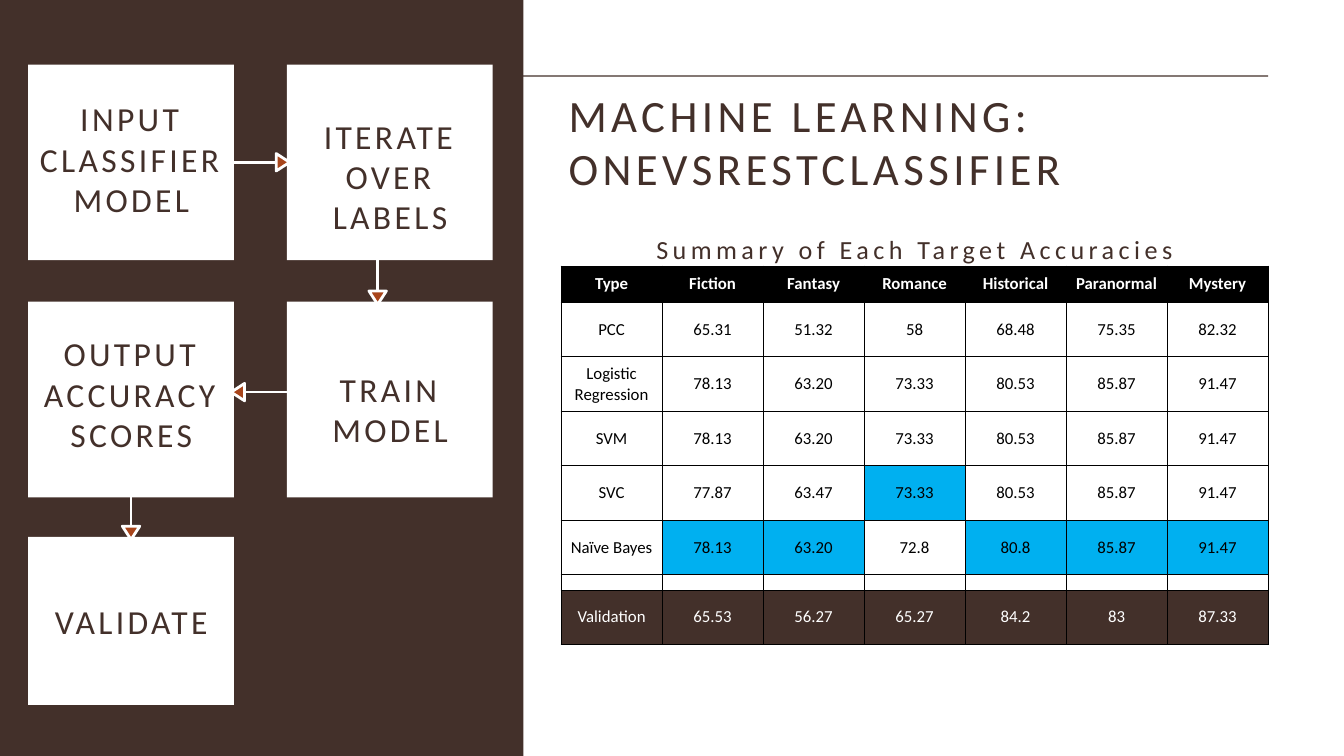
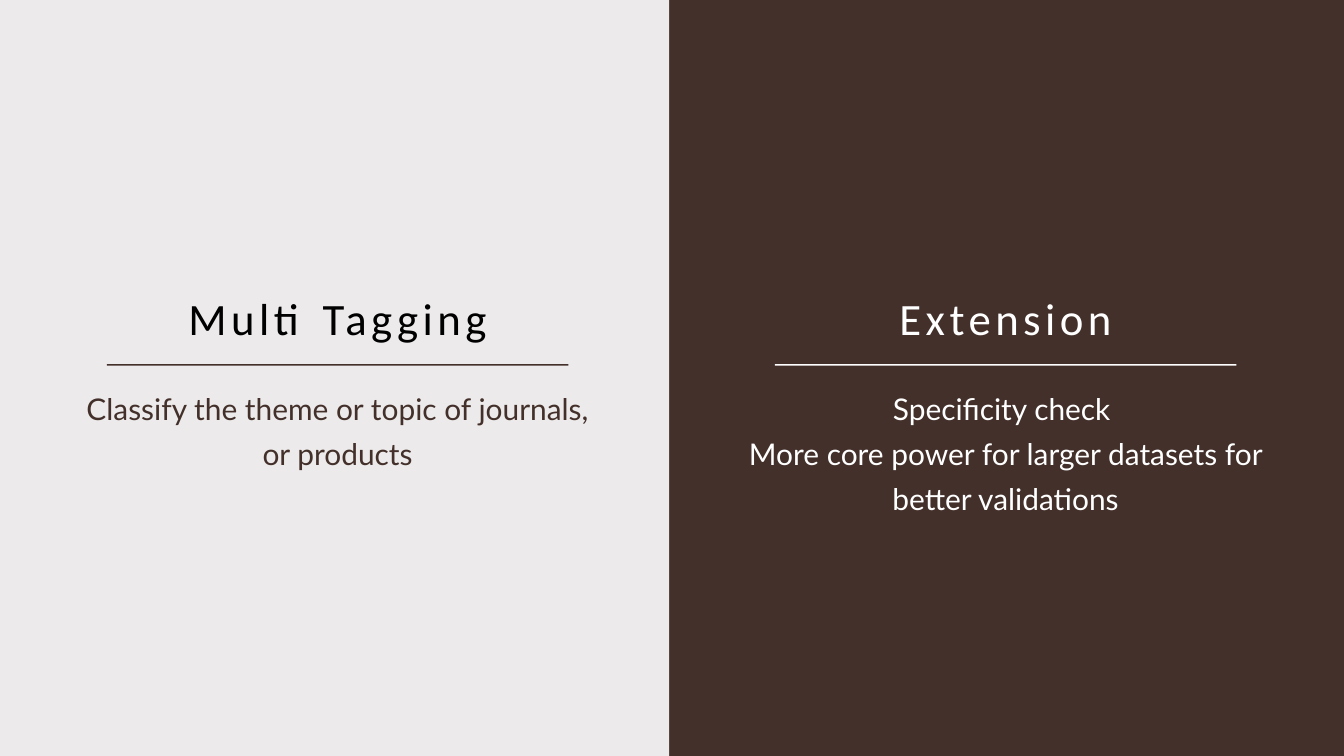
from pptx import Presentation
from pptx import util as u
from pptx.dml.color import RGBColor
from pptx.enum import shapes, text
from pptx.oxml.ns import qn
from lxml import etree

COLORS = {"brown": "43302A", "white": "FFFFFF", "black": "000000",
          "rust": "A8451B", "best": "00B0F0"}
HEADING_FONT, BODY_FONT = "Calibri", "Lato"
SLIDE_W, SLIDE_H = 20, 11.25
TOP, LEFT, BOTTOM, RIGHT = range(4)
TURN = {TOP: 180, LEFT: 90, RIGHT: 270, BOTTOM: 0}

STEPS = [
    ("INPUT CLASSIFIER MODEL", 0, 0, 0.5),
    ("ITERATE OVER LABELS", 1, 0, 0.76),
    ("TRAIN MODEL", 1, 1, 1.0),
    ("OUTPUT ACCURACY SCORES", 0, 1, 0.47),
    ("VALIDATE", 0, 2, 0.95),
]
STEP_LEFTS = [0.42, 4.27]
STEP_ROWS = [(0.96, 2.91), (4.49, 2.91), (7.99, 2.5)]
ARROWS = [(RIGHT, LEFT, 0), (BOTTOM, TOP, -0.18),
          (LEFT, RIGHT, -0.11), (BOTTOM, TOP, 0)]

ACCURACIES = [
    ["Type", "Fiction", "Fantasy", "Romance", "Historical", "Paranormal", "Mystery"],
    ["PCC", "65.31", "51.32", "58", "68.48", "75.35", "82.32"],
    ["Logistic\nRegression", "78.13", "63.20", "73.33", "80.53", "85.87", "91.47"],
    ["SVM", "78.13", "63.20", "73.33", "80.53", "85.87", "91.47"],
    ["SVC", "77.87", "63.47", "73.33", "80.53", "85.87", "91.47"],
    ["Naïve Bayes", "78.13", "63.20", "72.8", "80.8", "85.87", "91.47"],
    [""] * 7,
    ["Validation", "65.53", "56.27", "65.27", "84.2", "83", "87.33"],
]
BEST = {(4, 3), (5, 1), (5, 2), (5, 4), (5, 5), (5, 6)}
HEADER, SPACER, VALIDATION = 0, 6, 7
ROW_HEIGHTS = {HEADER: 0.54, SPACER: 0.23}


def rgb(name):
    return RGBColor.from_string(COLORS[name])


def inches(*lengths):
    return [u.Inches(length) for length in lengths]


def write(frame, lines, size, color, font=HEADING_FONT, leading=None, spacing=0,
          align=text.PP_ALIGN.CENTER, bold=False):
    for number, line in enumerate(lines):
        paragraph = frame.paragraphs[0] if number == 0 else frame.add_paragraph()
        paragraph.alignment = align
        paragraph.space_before = u.Pt(0)
        if leading:
            paragraph.line_spacing = u.Pt(leading)
        run = paragraph.add_run()
        run.text = line
        run.font.size = u.Pt(size)
        run.font.name = font
        run.font.bold = bold
        run.font.color.rgb = rgb(color)
        if spacing:
            run.font._element.set("spc", str(round(spacing * 100)))


def prepare(frame, anchor=text.MSO_ANCHOR.TOP, margins=(0, 0, 0, 0)):
    frame.word_wrap = True
    frame.auto_size = text.MSO_AUTO_SIZE.NONE
    frame.vertical_anchor = anchor
    (frame.margin_left, frame.margin_top,
     frame.margin_right, frame.margin_bottom) = inches(*margins)
    return frame


def fill_placeholder(holder, box, lines, size, color, **style):
    holder.left, holder.top, holder.width, holder.height = inches(*box)
    write(prepare(holder.text_frame), lines, size, color, **style)
    for paragraph in holder.text_frame.paragraphs:
        properties = paragraph._p.get_or_add_pPr()
        properties.set("marL", "0")
        properties.set("indent", "0")
        etree.SubElement(properties, qn("a:buNone"))


def add_block(slide, box, color, kind=shapes.MSO_SHAPE.RECTANGLE):
    block = slide.shapes.add_shape(kind, *inches(*box))
    block.shadow.inherit = False
    block.fill.solid()
    block.fill.fore_color.rgb = rgb(color)
    block.line.fill.background()
    return block


def side_point(step, side, shift):
    shift = u.Inches(shift)
    if side in (TOP, BOTTOM):
        y = step.top if side == TOP else step.top + step.height
        return step.left + step.width // 2 + shift, y
    x = step.left if side == LEFT else step.left + step.width
    return x, step.top + step.height // 2 + shift


def add_arrow(slide, source, target, leave, enter, shift):
    tip_x, tip_y = side_point(target, enter, shift)
    shaft = slide.shapes.add_connector(
        shapes.MSO_CONNECTOR.STRAIGHT, *side_point(source, leave, shift), tip_x, tip_y)
    if shift == 0:
        shaft.begin_connect(source, leave)
        shaft.end_connect(target, enter)
    shaft.line.color.rgb = rgb("white")
    shaft.line.width = u.Pt(3)
    etree.SubElement(shaft._element.spPr, qn("a:effectLst"))

    head = add_block(slide, (0, 0, 0.26, 0.2), "rust",
                     shapes.MSO_SHAPE.ISOSCELES_TRIANGLE)
    back = u.Inches(0.06)
    center_x = tip_x + {LEFT: -back, RIGHT: back}.get(enter, 0)
    center_y = tip_y + {TOP: -back, BOTTOM: back}.get(enter, 0)
    head.left = center_x - head.width // 2
    head.top = center_y - head.height // 2
    head.rotation = TURN[enter]
    head.line.color.rgb = rgb("white")
    head.line.width = u.Pt(3)


def add_workflow(slide, box):
    left, top, _, _ = box
    add_block(slide, box, "brown")
    steps = []
    for label, column, row, inset in STEPS:
        row_top, height = STEP_ROWS[row]
        step = add_block(slide, (left + STEP_LEFTS[column], top + row_top, 3.06, height),
                         "white")
        write(prepare(step.text_frame, margins=(0.09, inset, 0.08, 0)), [label], 36,
              "brown", leading=43.2, spacing=3.6)
        steps.append(step)
    for source, target, arrow in zip(steps, steps[1:], ARROWS):
        add_arrow(slide, source, target, *arrow)


def add_borders(cell):
    properties = cell._tc.get_or_add_tcPr()
    for edge in ("lnL", "lnR", "lnT", "lnB"):
        line = etree.SubElement(properties, qn(f"a:{edge}"), w=str(u.Pt(1)))
        paint = etree.SubElement(line, qn("a:solidFill"))
        etree.SubElement(paint, qn("a:srgbClr"), val=COLORS["black"])


def cell_colors(row, column):
    if row == HEADER:
        return "black", "white"
    if row == VALIDATION:
        return "brown", "white"
    return ("best" if (row, column) in BEST else "white"), "black"


def add_accuracies(slide, box):
    left, top, width, height = box
    caption = slide.shapes.add_textbox(*inches(left + 0.05, top - 0.76, width - 0.1, 0.67))
    write(prepare(caption.text_frame, text.MSO_ANCHOR.MIDDLE),
          ["Summary of Each Target Accuracies"], 28, "brown", leading=57.6, spacing=4.8)

    table = slide.shapes.add_table(len(ACCURACIES), len(ACCURACIES[0]), *inches(*box)).table
    for column in table.columns:
        column.width = u.Inches(width / len(ACCURACIES[0]))
    for row, values in enumerate(ACCURACIES):
        table.rows[row].height = u.Inches(ROW_HEIGHTS.get(row, 0.81))
        for column, value in enumerate(values):
            cell = table.cell(row, column)
            fill, ink = cell_colors(row, column)
            add_borders(cell)
            cell.fill.solid()
            cell.fill.fore_color.rgb = rgb(fill)
            cell.vertical_anchor = text.MSO_ANCHOR.MIDDLE
            if value:
                write(cell.text_frame, value.split("\n"), 18, ink, bold=row == HEADER)
            else:
                cell.margin_top = cell.margin_bottom = 0
                cell.text_frame.paragraphs[0]._p.get_or_add_endParaRPr().set("sz", "800")


def build_classifier(deck):
    slide = deck.slides.add_slide(deck.slide_layouts[5])
    fill_placeholder(slide.shapes.title, (8.46, 1.3, 10.42, 1.6),
                     ["MACHINE LEARNING: ONEVSRESTCLASSIFIER"], 48, "brown",
                     leading=57.6, spacing=4.8, align=text.PP_ALIGN.LEFT)
    add_block(slide, (1.12, 1.12, 17.75, 0.02), "brown")
    add_workflow(slide, (0, 0, 7.79, SLIDE_H))
    add_accuracies(slide, (8.35, 3.96, 10.52, 5.63))


def add_topic(slide, box, heading, details, title, lines, title_color, color):
    left, top, width, _ = box
    fill_placeholder(heading, (left, top, width, 0.8), [title], 48, title_color,
                     leading=57.6, spacing=4.8)
    fill_placeholder(details, (left, top + 1.36, width, 1.94), lines, 32, color,
                     font=BODY_FONT, leading=48)
    add_block(slide, (left + 0.47, top + 1.1, width - 0.94, 0.02), color)


def build_outlook(deck):
    slide = deck.slides.add_slide(deck.slide_layouts[4])
    slide.background.fill.solid()
    slide.background.fill.fore_color.rgb = rgb("brown")
    veil = add_block(slide, (0, 0, 9.96, SLIDE_H), "white")
    tint = veil._element.spPr.find(".//" + qn("a:srgbClr"))
    etree.SubElement(tint, qn("a:alpha"), val="90000")
    slide.shapes._spTree.insert(2, veil._element)

    holders = {holder.placeholder_format.idx: holder for holder in slide.placeholders}
    add_topic(slide, (1.12, 4.32, 7.81, 3.3), holders[0], holders[2], "Multi Tagging",
              ["Classify the theme or topic of journals, or products"], "black", "brown")
    add_topic(slide, (11.06, 4.32, 7.81, 3.3), holders[1], holders[4], "Extension",
              ["Specificity check ",
               "More core power for larger datasets for better validations"],
              "white", "white")
    slide.shapes._spTree.remove(holders[3]._element)


def main():
    deck = Presentation()
    deck.slide_width, deck.slide_height = inches(SLIDE_W, SLIDE_H)
    build_classifier(deck)
    build_outlook(deck)
    deck.save("out.pptx")


if __name__ == "__main__":
    main()
